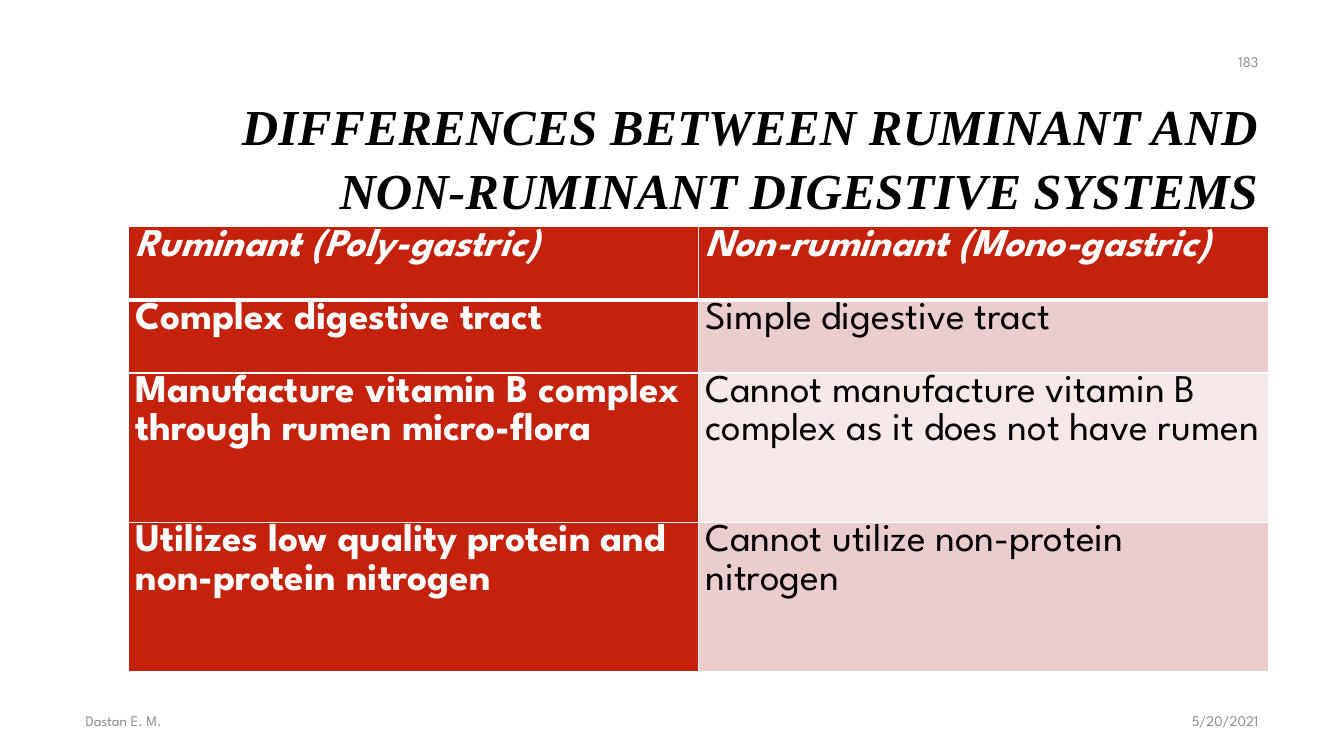
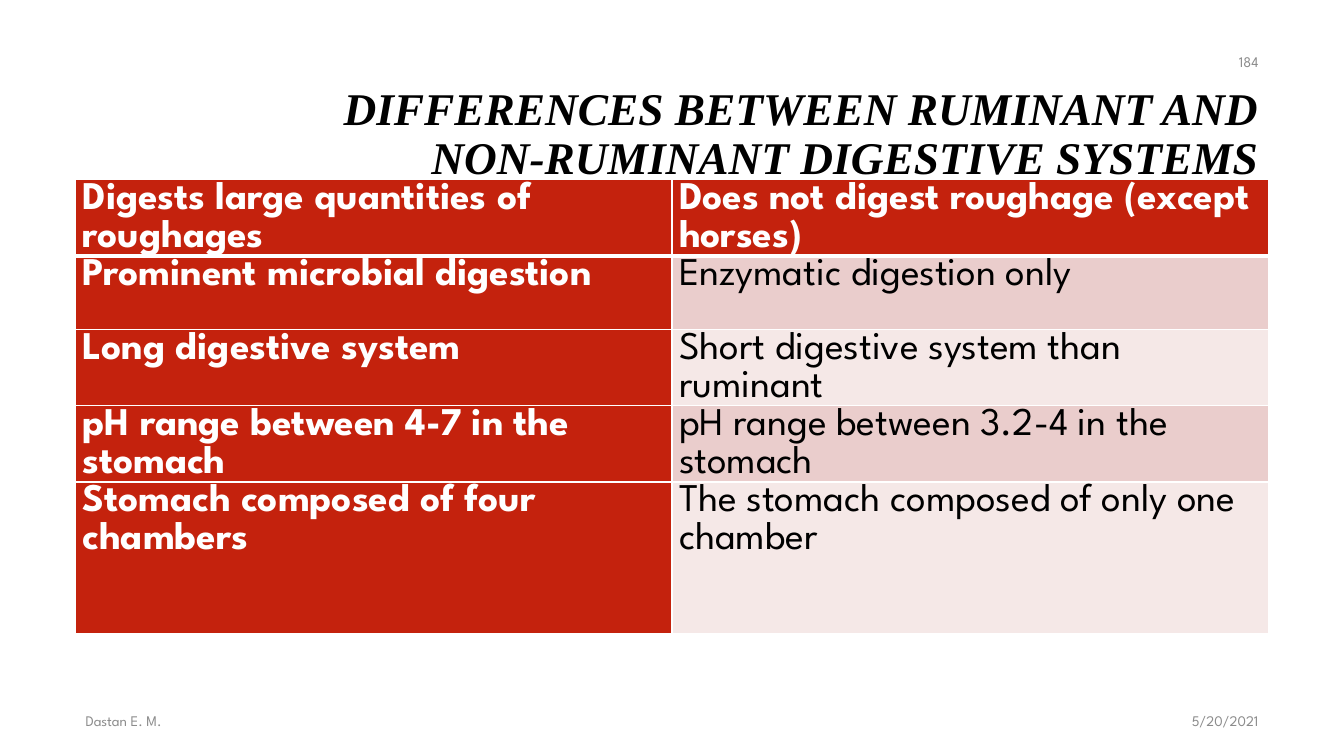
from dataclasses import dataclass
from typing import Any

from lxml.etree import SubElement
from pptx import Presentation
from pptx.dml.color import RGBColor
from pptx.enum.text import MSO_ANCHOR, MSO_AUTO_SIZE, PP_ALIGN
from pptx.oxml.ns import qn
from pptx.util import Inches, Pt

SLIDE_WIDTH = Inches(13.33)
SLIDE_HEIGHT = Inches(7.5)
GRID_COLUMNS = 160
GRID_ROWS = 90
LEFT_EDGE = 9
RIGHT_EDGE = 151

WHITE = RGBColor(0xFF, 0xFF, 0xFF)
BLACK = RGBColor(0x00, 0x00, 0x00)
GRAY = RGBColor(0x8C, 0x8C, 0x8C)
RED = RGBColor(0xC4, 0x22, 0x0D)
PINK = RGBColor(0xEA, 0xCD, 0xCC)
PALE_PINK = RGBColor(0xF5, 0xE8, 0xE7)

TITLE = "DIFFERENCES BETWEEN RUMINANT AND NON-RUMINANT DIGESTIVE SYSTEMS"
TITLE_FONT = {"name": "Times New Roman", "bold": True, "italic": True, "color": BLACK}
FOOTER_FONT = {"name": "League Spartan", "size": Pt(10.5), "color": GRAY}
CELL_FONT = {"name": "League Spartan", "size": Pt(28)}
CELL_MARGINS = {
    "margin_left": Inches(0.07),
    "margin_right": Inches(0.07),
    "margin_top": 0,
    "margin_bottom": 0,
}
TEXT_FRAME = {
    "word_wrap": True,
    "auto_size": MSO_AUTO_SIZE.NONE,
    "vertical_anchor": MSO_ANCHOR.MIDDLE,
}
CELL_LINE_SPACING = 1.06
THIN_BORDER = Pt(1)
HEADER_BORDER = Pt(3)


@dataclass(frozen=True)
class Area:
    left: float
    top: float
    right: float
    height: float

    def frame(self) -> dict[str, int]:
        return {
            "left": across(self.left),
            "top": down(self.top),
            "width": across(self.right - self.left),
            "height": down(self.height),
        }


@dataclass(frozen=True)
class TitleStyle:
    area: Area
    size: float
    line_spacing: float
    space_after: float


@dataclass(frozen=True)
class Comparison:
    number: int
    title: TitleStyle
    table_left: float
    table_top: float
    row_heights: tuple[float, ...]
    rows: tuple[tuple[str, str], ...]
    italic_header: bool


@dataclass(frozen=True)
class Footer:
    area: Area
    alignment: PP_ALIGN


DATE = Footer(Area(112.8, 83.4, RIGHT_EDGE, 4.8), PP_ALIGN.RIGHT)
AUTHOR = Footer(Area(LEFT_EDGE, 83.4, 111, 4.8), PP_ALIGN.LEFT)
NUMBER = Footer(Area(115, 5, RIGHT_EDGE, 4.8), PP_ALIGN.RIGHT)

COMPARISONS = (
    Comparison(
        number=183,
        title=TitleStyle(Area(15.3, 10.1, RIGHT_EDGE, 16.9), 36, 1.06, 8),
        table_left=15.3,
        table_top=27,
        row_heights=(8.7, 8.7, 17.8, 17.8),
        rows=(
            ("Ruminant (Poly-gastric)", "Non-ruminant (Mono-gastric)"),
            ("Complex digestive tract", "Simple digestive tract"),
            (
                "Manufacture vitamin B complex through rumen micro-flora",
                "Cannot manufacture vitamin B complex as it does not have rumen",
            ),
            (
                "Utilizes low quality protein and non-protein nitrogen",
                "Cannot utilize non-protein nitrogen",
            ),
        ),
        italic_header=True,
    ),
    Comparison(
        number=184,
        title=TitleStyle(Area(38, 7.6, RIGHT_EDGE, 16.9), 32.4, 0.9, 0),
        table_left=LEFT_EDGE,
        table_top=21.4,
        row_heights=(8.75, 8.75, 8.75, 8.75, 18),
        rows=(
            (
                "Digests large quantities of roughages",
                "Does not digest roughage (except horses)",
            ),
            ("Prominent microbial digestion", "Enzymatic digestion only"),
            ("Long digestive system", "Short digestive system than ruminant"),
            (
                "pH range between 4-7 in the stomach",
                "pH range between 3.2-4 in the stomach",
            ),
            (
                "Stomach composed of four chambers",
                "The stomach composed of only one chamber",
            ),
        ),
        italic_header=False,
    ),
)


def across(columns: float) -> int:
    return round(SLIDE_WIDTH * columns / GRID_COLUMNS)


def down(rows: float) -> int:
    return round(SLIDE_HEIGHT * rows / GRID_ROWS)


def apply_format(target: Any, values: dict[str, Any]) -> None:
    for name, value in values.items():
        if name == "color":
            target.color.rgb = value
        else:
            setattr(target, name, value)


def write_text(text_frame: Any, text: str, paragraph_format: dict, font: dict) -> None:
    paragraph = text_frame.paragraphs[0]
    run = paragraph.add_run()
    run.text = text
    apply_format(paragraph, paragraph_format)
    apply_format(run.font, font)


def add_title(slide: Any, style: TitleStyle) -> None:
    title = slide.shapes.title
    apply_format(title, style.area.frame())
    apply_format(title.text_frame, TEXT_FRAME)
    paragraph_format = {
        "alignment": PP_ALIGN.RIGHT,
        "line_spacing": style.line_spacing,
        "space_before": Pt(0),
        "space_after": Pt(style.space_after),
    }
    write_text(
        title.text_frame, TITLE, paragraph_format, TITLE_FONT | {"size": Pt(style.size)}
    )


def add_footer(slide: Any, footer: Footer, text: str) -> None:
    box = slide.shapes.add_textbox(**footer.area.frame())
    apply_format(box.text_frame, TEXT_FRAME)
    write_text(box.text_frame, text, {"alignment": footer.alignment}, FOOTER_FONT)


def set_borders(cell: Any, row_index: int) -> None:
    widths = {
        "a:lnL": THIN_BORDER,
        "a:lnR": THIN_BORDER,
        "a:lnT": HEADER_BORDER if row_index == 1 else THIN_BORDER,
        "a:lnB": HEADER_BORDER if row_index == 0 else THIN_BORDER,
    }
    properties = cell._tc.get_or_add_tcPr()
    for tag, width in widths.items():
        line = SubElement(properties, qn(tag), w=str(int(width)))
        fill = SubElement(line, qn("a:solidFill"))
        SubElement(fill, qn("a:srgbClr"), val=str(WHITE))


def format_cell(
    cell: Any, text: str, row_index: int, column_index: int, italic: bool
) -> None:
    emphasized = row_index == 0 or column_index == 0
    band = PINK if row_index % 2 else PALE_PINK
    apply_format(cell, CELL_MARGINS)
    set_borders(cell, row_index)
    cell.fill.solid()
    cell.fill.fore_color.rgb = RED if emphasized else band
    font = CELL_FONT | {
        "bold": emphasized,
        "italic": italic,
        "color": WHITE if emphasized else BLACK,
    }
    write_text(cell.text_frame, text, {"line_spacing": CELL_LINE_SPACING}, font)


def add_comparison_table(slide: Any, comparison: Comparison) -> None:
    area = Area(
        comparison.table_left,
        comparison.table_top,
        RIGHT_EDGE,
        sum(comparison.row_heights),
    )
    table = slide.shapes.add_table(len(comparison.rows), 2, **area.frame()).table
    table.first_col = True
    for row_index, texts in enumerate(comparison.rows):
        table.rows[row_index].height = down(comparison.row_heights[row_index])
        italic = comparison.italic_header and row_index == 0
        for column_index, text in enumerate(texts):
            cell = table.cell(row_index, column_index)
            format_cell(cell, text, row_index, column_index, italic)


def add_comparison_slide(presentation: Any, comparison: Comparison) -> None:
    slide = presentation.slides.add_slide(presentation.slide_layouts[5])
    add_title(slide, comparison.title)
    add_comparison_table(slide, comparison)
    add_footer(slide, DATE, "5/20/2021")
    add_footer(slide, AUTHOR, "Dastan E. M.")
    add_footer(slide, NUMBER, str(comparison.number))


def main() -> None:
    presentation = Presentation()
    presentation.slide_width = SLIDE_WIDTH
    presentation.slide_height = SLIDE_HEIGHT
    for comparison in COMPARISONS:
        add_comparison_slide(presentation, comparison)
    presentation.save("out.pptx")


if __name__ == "__main__":
    main()
